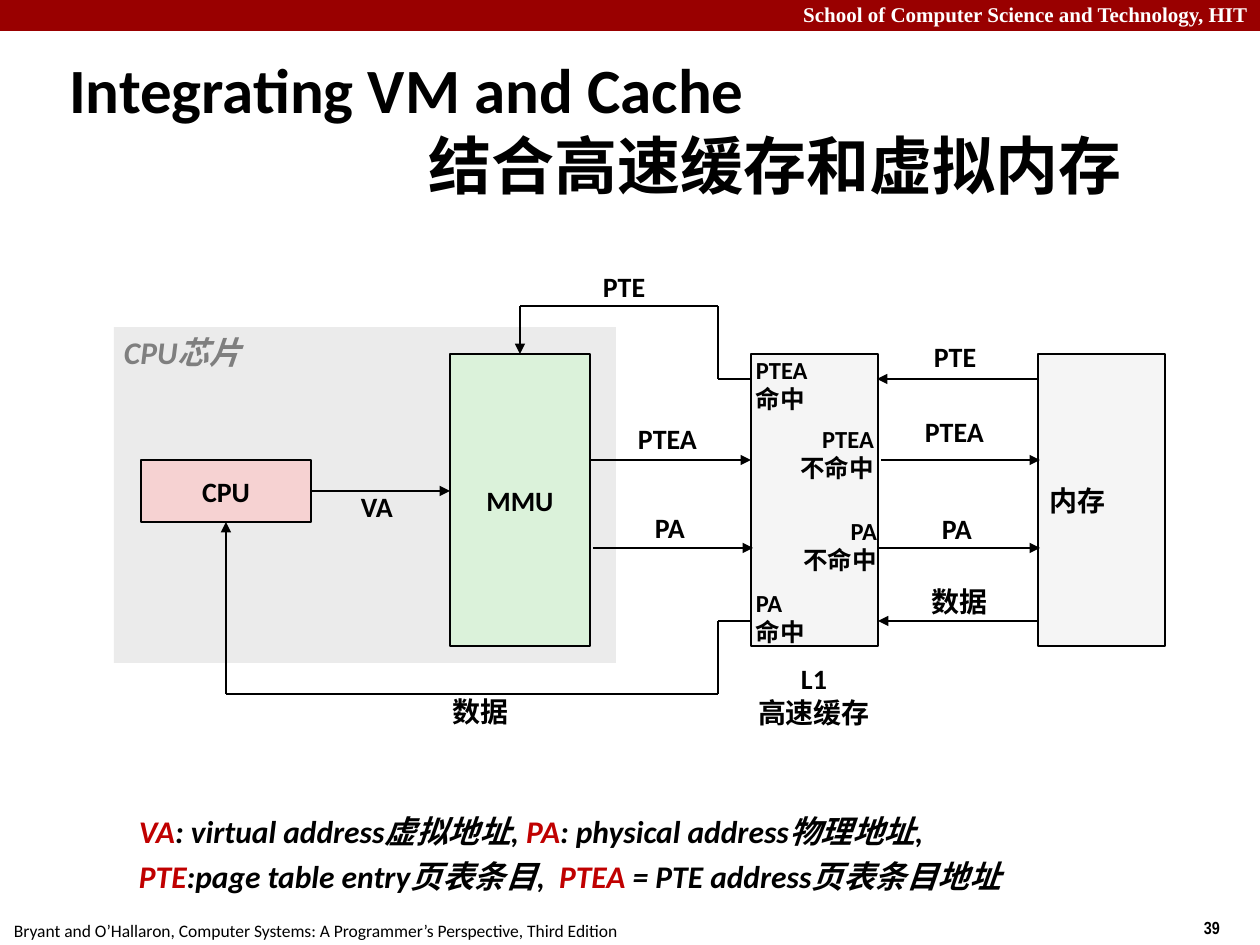
from lxml import etree
from pptx import Presentation
from pptx.dml.color import RGBColor
from pptx.enum.shapes import MSO_CONNECTOR, MSO_SHAPE
from pptx.enum.text import MSO_ANCHOR, MSO_AUTO_SIZE, PP_ALIGN
from pptx.oxml.ns import qn
from pptx.util import Pt

RECT, STRAIGHT = MSO_SHAPE.RECTANGLE, MSO_CONNECTOR.STRAIGHT
TOP, MIDDLE = MSO_ANCHOR.TOP, MSO_ANCHOR.MIDDLE
LEFT, CENTER, RIGHT = PP_ALIGN.LEFT, PP_ALIGN.CENTER, PP_ALIGN.RIGHT
NO_FIT, GROW = MSO_AUTO_SIZE.NONE, MSO_AUTO_SIZE.SHAPE_TO_FIT_TEXT
TOP_SIDE, BOTTOM_SIDE, RIGHT_SIDE = 0, 2, 3

THEME = {
    "color": {
        "banner": "990000", "white": "FFFFFF", "black": "000000",
        "gray": "7F7F7F", "key": "C00000", "chip": "EBEBEB",
        "cpu": "F6D2D2", "mmu": "DBF2DA", "memory": "F5F5F5",
    },
    "size": {"title": 36, "legend": 18, "label": 16, "state": 14, "header": 12, "footer": 10},
    "font": {"body": "Calibri", "header": "Times New Roman", "number": "Arial Narrow"},
    "line": 1,
}
INSETS = {"wide": (12, 6), "tight": (9, 4)}

TITLE = [("Integrating VM and Cache", 0), ("结合高速缓存和虚拟内存", 359)]
TITLE_BOX = (57, 35, 1079, 183)

BLOCKS = {
    "banner": ((0, 0, 1260, 31), "banner", None, LEFT),
    "chip": ((114, 327, 502, 336), "chip", None, LEFT),
    "cpu": ((141, 460, 170, 62), "cpu", "CPU", CENTER),
    "mmu": ((450, 354, 140, 292), "mmu", "MMU", CENTER),
    "l1": ((751, 354, 127, 292), "memory", None, LEFT),
    "memory": ((1038, 354, 127, 292), "memory", "内存", LEFT),
}
UNLINED = ("banner", "chip")

ROUTES = [
    ([(311, 491), (450, 491)], ("cpu", RIGHT_SIDE), None),
    ([(590, 460), (751, 460)], None, None),
    ([(593, 548), (753, 548)], None, None),
    ([(881, 460), (1040, 460)], None, None),
    ([(878, 548), (1040, 548)], None, None),
    ([(1038, 379), (877, 379)], None, None),
    ([(1039, 621), (878, 621)], None, None),
    ([(751, 379), (718, 379), (718, 306), (520, 306), (520, 354)], None, ("mmu", TOP_SIDE)),
    ([(751, 621), (718, 621), (718, 694), (226, 694), (226, 522)], None, ("cpu", BOTTOM_SIDE)),
]

TIGHT_LABELS = [
    ("VA", (352, 491, 54, 35)),
    ("PTEA", (629, 423, 81, 35)),
    ("PA", (646, 512, 53, 35)),
    ("PTEA", (916, 416, 81, 35)),
]
WIDE_LABELS = [
    ("PTE", (591, 263, 74, 47)),
    ("数据", (441, 688, 88, 47)),
    ("PA", (930, 505, 64, 47)),
    ("数据", (920, 578, 88, 47)),
    ("PTE", (922, 333, 74, 47)),
]
CACHE_STATES = [
    ("PTEA", "命中", (744, 348, 90, 72), LEFT),
    ("PTEA", "不命中", (776, 417, 110, 72), RIGHT),
    ("PA", "不命中", (779, 509, 110, 72), RIGHT),
    ("PA", "命中", (744, 581, 90, 72), LEFT),
]
LEGEND = [
    [("VA", "key"), (": virtual address虚拟地址, ", "black"),
     ("PA", "key"), (": physical address物理地址,", "black")],
    [("PTE", "key"), (":page table entry页表条目,  ", "black"),
     ("PTEA", "key"), (" = PTE address页表条目地址", "black")],
]
HEADER = "School of Computer Science and Technology, HIT"
FOOTER = "Bryant and O’Hallaron, Computer Systems: A Programmer’s Perspective, Third Edition"

SCALE = 914400 / 126


def px(*values):
    return [round(v * SCALE) for v in values]


def color(name):
    return RGBColor.from_string(THEME["color"][name])


def assign(obj, **values):
    for name, value in values.items():
        setattr(obj, name, value)


def write(tf, lines, size="label", tone="black", face="body", bold=True, italic=False,
          align=LEFT, spacing=1.0, inset="wide", anchor=MIDDLE, wrap=False, fit=GROW):
    dx, dy = px(*INSETS[inset])
    assign(tf, margin_left=dx, margin_right=dx, margin_top=dy, margin_bottom=dy,
           vertical_anchor=anchor, word_wrap=wrap, auto_size=fit)
    for i, line in enumerate(lines):
        p = tf.add_paragraph() if i else tf.paragraphs[0]
        assign(p, alignment=align, line_spacing=spacing)
        for text, run_tone in [(line, tone)] if isinstance(line, str) else line:
            r = p.add_run()
            r.text = text
            assign(r.font, name=THEME["font"][face], size=Pt(THEME["size"][size]),
                   bold=bold, italic=italic)
            r.font.color.rgb = color(run_tone)


def add_text(slide, box, lines, **style):
    write(slide.shapes.add_textbox(*px(*box)).text_frame, lines, **style)


def add_block(slide, name):
    box, fill, text, align = BLOCKS[name]
    sp = slide.shapes.add_shape(RECT, *px(*box))
    sp.shadow.inherit = False
    sp.fill.solid()
    sp.fill.fore_color.rgb = color(fill)
    if name in UNLINED:
        sp.line.fill.background()
    else:
        sp.line.color.rgb = color("black")
        sp.line.width = Pt(THEME["line"])
    if text:
        write(sp.text_frame, [text], align=align, fit=NO_FIT)
    return sp


def add_route(slide, blocks, points, start, end):
    for a, b in zip(points, points[1:]):
        cxn = slide.shapes.add_connector(STRAIGHT, *px(*a, *b))
        cxn.line.color.rgb = color("black")
        cxn.line.width = Pt(THEME["line"])
        if start and a == points[0]:
            cxn.begin_connect(blocks[start[0]], start[1])
        if b == points[-1]:
            etree.SubElement(cxn.line._get_or_add_ln(), qn("a:tailEnd"), type="triangle")
            if end:
                cxn.end_connect(blocks[end[0]], end[1])
        etree.SubElement(cxn._element.spPr, qn("a:effectLst"))


def main():
    prs = Presentation()
    prs.slide_width, prs.slide_height = px(1260, 945)
    slide = prs.slides.add_slide(prs.slide_layouts[5])
    title = slide.shapes.title
    assign(title, **dict(zip(("left", "top", "width", "height"), px(*TITLE_BOX))))
    write(title.text_frame, [text for text, _ in TITLE], size="title", wrap=True, fit=NO_FIT)
    for p, (_, indent) in zip(title.text_frame.paragraphs, TITLE):
        pPr = p._p.get_or_add_pPr()
        pPr.set("marL", str(px(indent)[0]))
        pPr.set("indent", "0")

    blocks = {name: add_block(slide, name) for name in BLOCKS}
    for route in ROUTES:
        add_route(slide, blocks, *route)
    for text, box in TIGHT_LABELS:
        add_text(slide, box, [text], inset="tight", spacing=0.85, anchor=TOP)
    for text, box in WIDE_LABELS:
        add_text(slide, box, [text])
    for address, state, box, align in CACHE_STATES:
        add_text(slide, box, [address, state], size="state", align=align)

    add_text(slide, (738, 655, 152, 81), ["L1", "高速缓存"], align=CENTER)
    add_text(slide, (112, 327, 164, 51), ["CPU芯片"], size="legend", tone="gray",
             italic=True, anchor=TOP)
    add_text(slide, (130, 800, 946, 98), LEGEND, size="legend", italic=True, spacing=1.2,
             inset="tight", anchor=TOP, wrap=True)
    add_text(slide, (0, -4, 1260, 38), [HEADER], size="header", tone="white", face="header",
             align=RIGHT, anchor=TOP, wrap=True)
    add_text(slide, (2, 914, 640, 34), [FOOTER], size="footer", bold=False, anchor=TOP)
    add_text(slide, (1192, 911, 60, 34), ["39"], size="footer", face="number", anchor=TOP)
    prs.save("out.pptx")


if __name__ == "__main__":
    main()
